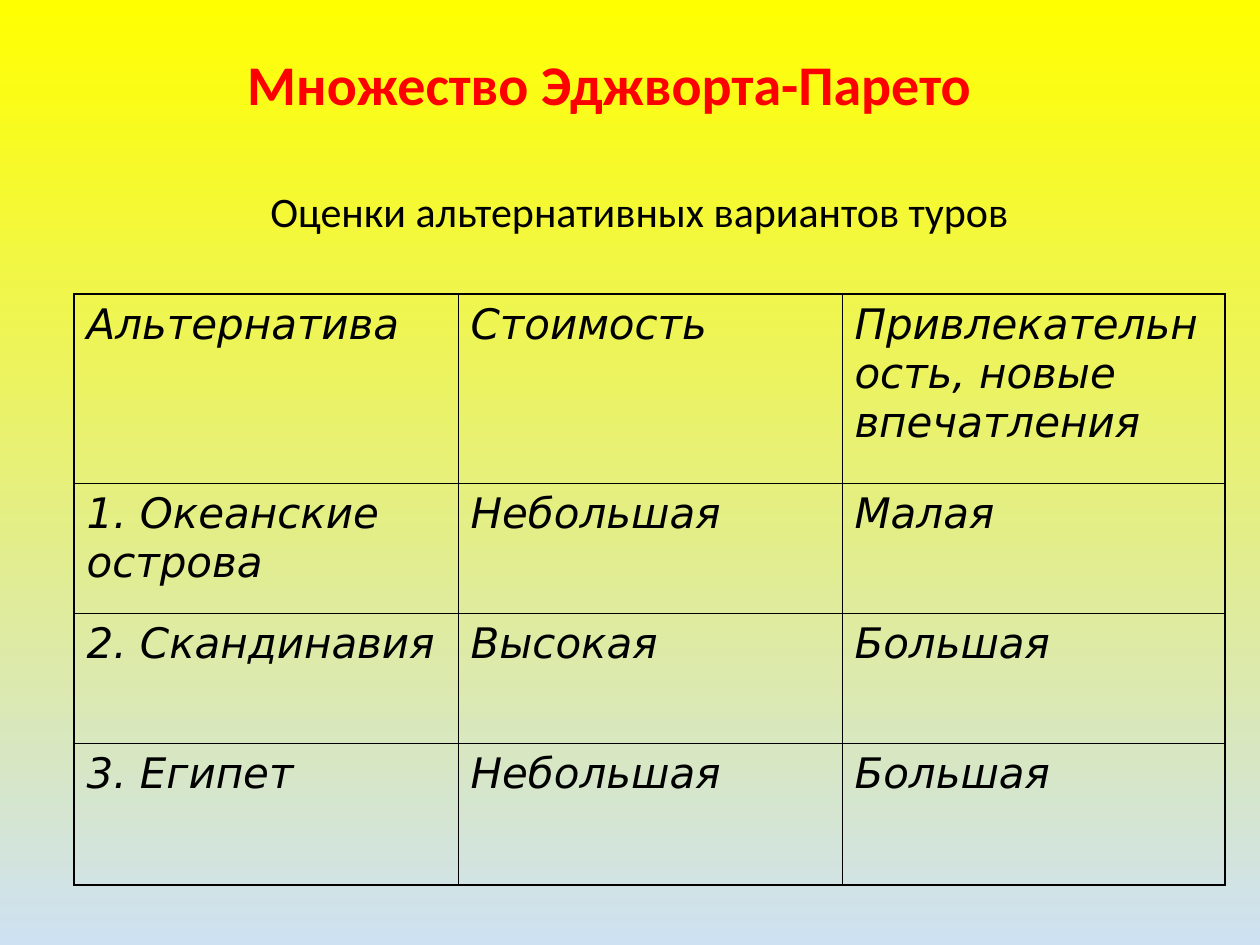
from dataclasses import dataclass

from lxml import etree
from pptx import Presentation
from pptx import util as u
from pptx.dml.color import RGBColor
from pptx.enum import text
from pptx.oxml.ns import qn
from pptx.slide import Slide
from pptx.table import _Cell

EMU_PER_PX = 914400 / 126


@dataclass(frozen=True)
class Theme:
    top: str = "FFFF00"
    bottom: str = "CEE1F2"
    title: str = "FF0000"
    ink: str = "000000"
    heading_font: str = "Calibri"
    table_font: str = "DejaVu Sans"
    title_size: int = 32
    body_size: int = 24
    outer_line: float = 1.08
    inner_line: float = 0.45


@dataclass(frozen=True)
class Box:
    left: int
    top: int
    width: int
    height: int


@dataclass(frozen=True)
class TextStyle:
    font: str
    size: int
    color: str
    bold: bool = False
    italic: bool = False


@dataclass(frozen=True)
class Heading:
    words: str
    box: Box
    style: TextStyle
    anchor: text.MSO_ANCHOR


THEME = Theme()
TABLE_STYLE = TextStyle(THEME.table_font, THEME.body_size, THEME.ink, italic=True)

HEADINGS = [
    Heading("Множество Эджворта-Парето", Box(74, 35, 1071, 89),
            TextStyle(THEME.heading_font, THEME.title_size, THEME.title, bold=True),
            text.MSO_ANCHOR.BOTTOM),
    Heading("Оценки альтернативных вариантов туров", Box(84, 185, 1111, 725),
            TextStyle(THEME.heading_font, THEME.body_size, THEME.ink),
            text.MSO_ANCHOR.TOP),
]

TABLE_LEFT, TABLE_TOP = 74, 294
COLUMN_WIDTHS = [384, 384, 383]
ROW_HEIGHTS = [189, 130, 130, 142]
TOURS = [
    ["Альтернатива", "Стоимость", "Привлекательность, новые впечатления"],
    ["1. Океанские острова", "Небольшая", "Малая"],
    ["2. Скандинавия", "Высокая", "Большая"],
    ["3. Египет", "Небольшая", "Большая"],
]


def px(length: int) -> u.Emu:
    return u.Emu(round(length * EMU_PER_PX))


def place(box: Box) -> list[u.Emu]:
    return [px(length) for length in (box.left, box.top, box.width, box.height)]


def add_run(paragraph, words: str, style: TextStyle) -> None:
    run = paragraph.add_run()
    run.text = words
    font = run.font
    font.name, font.size = style.font, u.Pt(style.size)
    font.bold, font.italic = style.bold, style.italic
    font.color.rgb = RGBColor.from_string(style.color)


def paint_background(slide: Slide) -> None:
    fill = slide.background.fill
    fill.gradient()
    fill.gradient_angle = 270
    for stop, color, position in zip(fill.gradient_stops, (THEME.top, THEME.bottom), (0, 1)):
        stop.color.rgb = RGBColor.from_string(color)
        stop.position = position


def add_heading(slide: Slide, heading: Heading) -> None:
    frame = slide.shapes.add_textbox(*place(heading.box)).text_frame
    frame.word_wrap = True
    frame.vertical_anchor = heading.anchor
    paragraph = frame.paragraphs[0]
    paragraph.alignment = text.PP_ALIGN.CENTER
    paragraph.line_spacing = 0.9
    add_run(paragraph, heading.words, heading.style)


def add_borders(cell: _Cell, outer_sides: dict[str, bool]) -> None:
    """Draw thick lines on the table's outer sides and thin ones inside."""
    properties = cell._tc.get_or_add_tcPr()
    for index, (side, is_outer) in enumerate(outer_sides.items()):
        width = u.Pt(THEME.outer_line if is_outer else THEME.inner_line)
        line = etree.Element(qn(f"a:ln{side}"), w=str(width))
        fill = etree.SubElement(line, qn("a:solidFill"))
        etree.SubElement(fill, qn("a:srgbClr"), val=THEME.ink)
        properties.insert(index, line)


def add_tour_table(slide: Slide) -> None:
    box = Box(TABLE_LEFT, TABLE_TOP, sum(COLUMN_WIDTHS), sum(ROW_HEIGHTS))
    row_count, column_count = len(ROW_HEIGHTS), len(COLUMN_WIDTHS)
    table = slide.shapes.add_table(row_count, column_count, *place(box)).table
    table.first_row = table.horz_banding = False
    for column, width in zip(table.columns, COLUMN_WIDTHS):
        column.width = px(width)
    for row, height in zip(table.rows, ROW_HEIGHTS):
        row.height = px(height)
    for row_index, values in enumerate(TOURS):
        for column_index, words in enumerate(values):
            cell = table.cell(row_index, column_index)
            cell.fill.background()
            add_run(cell.text_frame.paragraphs[0], words, TABLE_STYLE)
            add_borders(cell, {
                "L": column_index == 0,
                "R": column_index == column_count - 1,
                "T": row_index == 0,
                "B": row_index == row_count - 1,
            })


def main() -> None:
    presentation = Presentation()
    presentation.slide_width, presentation.slide_height = px(1260), px(945)
    slide = presentation.slides.add_slide(presentation.slide_layouts[6])

    # Background
    paint_background(slide)
    # Title and subtitle
    for heading in HEADINGS:
        add_heading(slide, heading)
    # Comparison of tours
    add_tour_table(slide)

    presentation.save("out.pptx")


if __name__ == "__main__":
    main()
